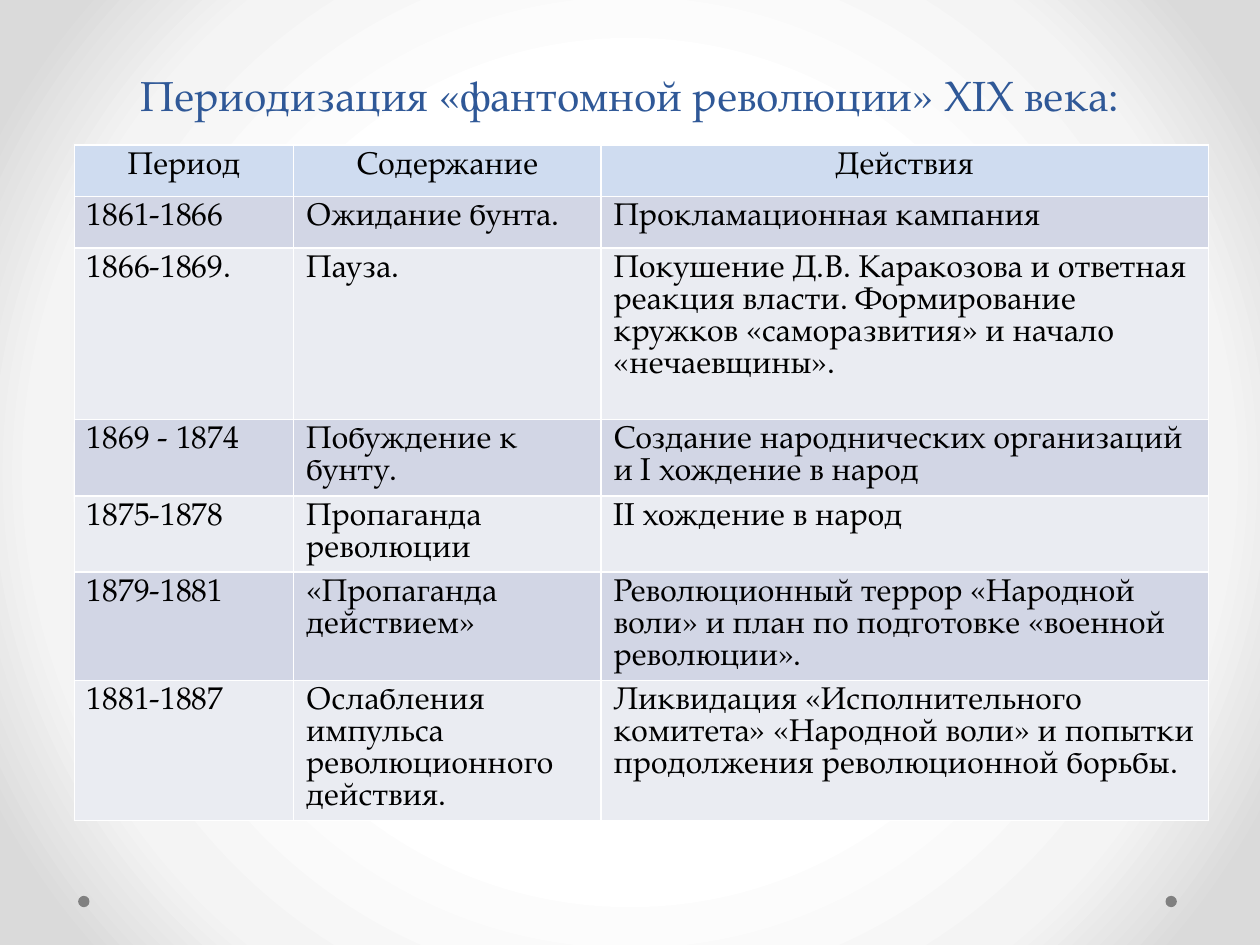
from lxml import etree
from pptx import Presentation
from pptx.dml.color import RGBColor
from pptx.enum.shapes import MSO_SHAPE
from pptx.enum.text import MSO_ANCHOR, PP_ALIGN
from pptx.oxml import parse_xml
from pptx.oxml.ns import nsdecls, qn
from pptx.util import Inches, Pt

OVAL = MSO_SHAPE.OVAL
BOTTOM = MSO_ANCHOR.BOTTOM
CENTER, LEFT = PP_ALIGN.CENTER, PP_ALIGN.LEFT

FONT = "TeX Gyre Pagella"
COLORS = {
    "title": "2F5897",
    "text": "000000",
    "header": "CFDCF0",
    "band_dark": "D2D6E5",
    "band_light": "EAECF2",
    "border": "FFFFFF",
    "dot": "808080",
}
BACKGROUND_STOPS = [(50, "FFFFFF"), (76, "F4F4F4"), (92, "DADADA")]
TITLE_FORMAT = {"name": FONT, "size": Pt(24), "bold": False}
CELL_FORMAT = {"name": FONT, "size": Pt(18), "bold": False}
TITLE_SPACING, CELL_SPACING = Pt(58), Pt(18.2)

TITLE = "Периодизация «фантомной революции» XIX века:"
COLUMN_WIDTHS = [1.74, 2.44, 4.82]
ROW_HEIGHTS = [0.41, 0.41, 1.36, 0.6, 0.6, 0.86, 1.11]
PERIODS = [
    ("Период", "Содержание", "Действия"),
    ("1861-1866", "Ожидание бунта.", "Прокламационная кампания"),
    ("1866-1869.", "Пауза.",
     "Покушение Д.В. Каракозова и ответная реакция власти. "
     "Формирование кружков «саморазвития» и начало «нечаевщины»."),
    ("1869 - 1874", "Побуждение к бунту.",
     "Создание народнических организаций и I хождение в народ"),
    ("1875-1878", "Пропаганда революции", "II хождение в народ"),
    ("1879-1881", "«Пропаганда действием»",
     "Революционный террор «Народной воли» и план по подготовке "
     "«военной революции»."),
    ("1881-1887", "Ослабления импульса революционного действия.",
     "Ликвидация «Исполнительного комитета» «Народной воли» и попытки "
     "продолжения революционной борьбы."),
]


def color(name):
    return RGBColor.from_string(COLORS[name])


def set_background(slide):
    """Fill the slide with a radial gradient around its centre."""
    slide.background.fill.solid()
    properties = slide.element.find(".//" + qn("p:bgPr"))
    stops = "".join(
        f'<a:gs pos="{position * 1000}"><a:srgbClr val="{value}"/></a:gs>'
        for position, value in BACKGROUND_STOPS)
    gradient = parse_xml(
        f'<a:gradFill {nsdecls("a")} rotWithShape="1"><a:gsLst>{stops}</a:gsLst>'
        '<a:path path="circle"><a:fillToRect l="50000" t="50000" r="50000" '
        'b="50000"/></a:path></a:gradFill>')
    properties.replace(properties.find(qn("a:solidFill")), gradient)


def write_text(text_frame, text, font_format, color_name, alignment, spacing):
    paragraph = text_frame.paragraphs[0]
    paragraph.alignment = alignment
    paragraph.line_spacing = spacing
    run = paragraph.add_run()
    run.text = text
    for name, value in font_format.items():
        setattr(run.font, name, value)
    run.font.color.rgb = color(color_name)


def add_dot(slide, left, top):
    shape = slide.shapes.add_shape(
        OVAL, Inches(left), Inches(top), Inches(0.09), Inches(0.09))
    shape.shadow.inherit = False
    shape.fill.solid()
    shape.fill.fore_color.rgb = color("dot")
    shape.line.fill.background()


def add_title(slide):
    box = slide.shapes.add_textbox(
        Inches(0.5), Inches(0.29), Inches(9), Inches(0.71))
    box.text_frame.word_wrap = True
    box.text_frame.vertical_anchor = BOTTOM
    write_text(box.text_frame, TITLE, TITLE_FORMAT, "title", CENTER,
               TITLE_SPACING)


def set_borders(cell):
    properties = cell._tc.get_or_add_tcPr()
    for index, side in enumerate(("lnL", "lnR", "lnT", "lnB")):
        line = etree.Element(qn(f"a:{side}"), w=str(Pt(1)))
        fill = etree.SubElement(line, qn("a:solidFill"))
        etree.SubElement(fill, qn("a:srgbClr"), val=COLORS["border"])
        properties.insert(index, line)


def add_period_table(slide):
    table = slide.shapes.add_table(
        len(PERIODS), len(COLUMN_WIDTHS), Inches(0.59), Inches(1.15),
        Inches(sum(COLUMN_WIDTHS)), Inches(sum(ROW_HEIGHTS))).table
    for column, width in zip(table.columns, COLUMN_WIDTHS):
        column.width = Inches(width)
    for row_index, (row, height) in enumerate(zip(table.rows, ROW_HEIGHTS)):
        row.height = Inches(height)
        is_header = row_index == 0
        band = "band_dark" if row_index % 2 else "band_light"
        for cell, text in zip(row.cells, PERIODS[row_index]):
            write_text(cell.text_frame, text, CELL_FORMAT, "text",
                       CENTER if is_header else LEFT, CELL_SPACING)
            cell.fill.solid()
            cell.fill.fore_color.rgb = color("header" if is_header else band)
            set_borders(cell)


def main():
    presentation = Presentation()
    presentation.slide_width = Inches(10)
    presentation.slide_height = Inches(7.5)
    slide = presentation.slides.add_slide(presentation.slide_layouts[6])

    # Background and corner dots
    set_background(slide)
    for left in (9.25, 0.62):
        add_dot(slide, left, 7.11)

    # Title and table of periods
    add_title(slide)
    add_period_table(slide)

    presentation.save("out.pptx")


if __name__ == "__main__":
    main()
